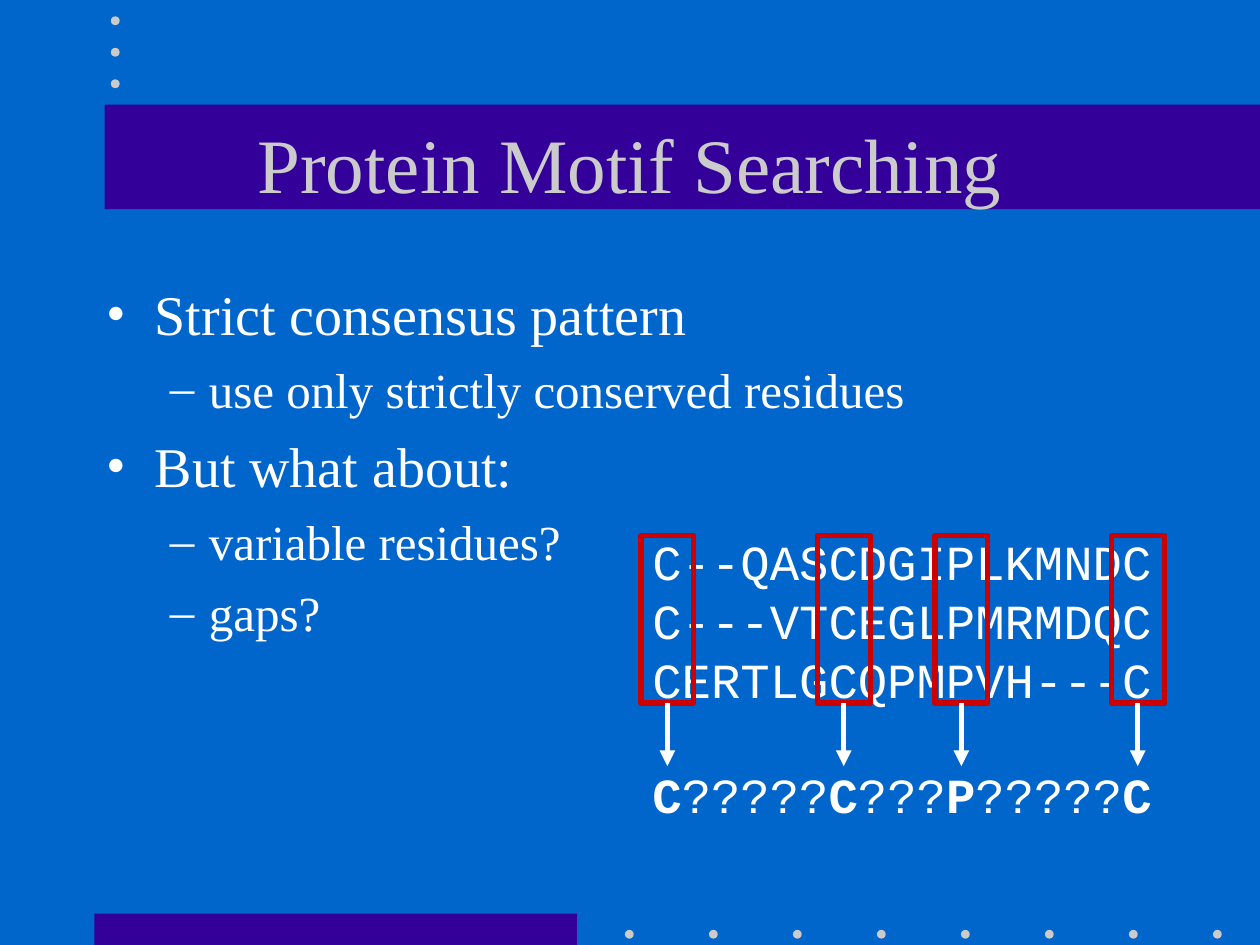
from lxml import etree
from pptx import Presentation, util as u
from pptx.dml.color import RGBColor
from pptx.enum import shapes, text
from pptx.oxml.ns import qn

BLUE = RGBColor(0x00, 0x66, 0xCC)
PURPLE = RGBColor(0x33, 0x00, 0x99)
GREY = RGBColor(0xCB, 0xCB, 0xCB)
WHITE = RGBColor(0xFF, 0xFF, 0xFF)
RED = RGBColor(0xCC, 0x00, 0x00)
SERIF, MONO = "Times New Roman", "Courier New"

TITLE = "Protein Motif Searching"
POINTS = [
    (0, "Strict consensus pattern"),
    (1, "use only strictly conserved residues"),
    (0, "But what about:"),
    (1, "variable residues?"),
    (1, "gaps?"),
]
LEVELS = [
    dict(mark="•", size=32, left=0.38, hang=0.38, gap=8),
    dict(mark="–", size=28, left=0.81, hang=0.31, gap=7),
]
SEQS = ["C--QASCDGIPLKMNDC", "C---VTCEGLPMRMDQC", "CERTLGCQPMPVH---C"]
MATCH = [col for col, chars in enumerate(zip(*SEQS)) if len(set(chars)) == 1]
MOTIF = [(char if col in MATCH else "?", col in MATCH)
         for col, char in enumerate(SEQS[0])]

LEFT, PAD = 5.08, 0.1
STEP = 28 * 0.6 / 72
BOX_W, BOX_TOP, BOX_H, ARROW = 0.42, 4.25, 1.33, 0.5
DOT = 0.07

deck = Presentation()
deck.slide_width, deck.slide_height = u.Inches(10), u.Inches(7.5)
slide = deck.slides.add_slide(deck.slide_layouts[5])
slide.background.fill.solid()
slide.background.fill.fore_color.rgb = BLUE


def place(shape, *at):
    shape.left, shape.top, shape.width, shape.height = map(u.Inches, at)


def draw(kind, *at, fill=None, line=None):
    shape = slide.shapes.add_shape(kind, *map(u.Inches, at))
    shape.shadow.inherit = False
    if fill is None:
        shape.fill.background()
    else:
        shape.fill.solid()
        shape.fill.fore_color.rgb = fill
    if line is None:
        shape.line.fill.background()
    else:
        shape.line.color.rgb = line
        shape.line.width = u.Pt(3)
    return shape


def write(para, words, size=28, font=MONO, color=WHITE, bold=False):
    run = para.add_run()
    run.text = words
    run.font.size, run.font.name, run.font.bold = u.Pt(size), font, bold
    run.font.color.rgb = color


def frame(*at, wrap=False):
    body = slide.shapes.add_textbox(*map(u.Inches, at)).text_frame
    body.word_wrap = wrap
    return body


def lines(body, count):
    return [body.paragraphs[0]] + [body.add_paragraph() for _ in range(count - 1)]


def bullet(para, mark, left, hang):
    props = para._p.get_or_add_pPr()
    props.set("marL", str(u.Inches(left)))
    props.set("indent", str(-u.Inches(hang)))
    etree.SubElement(props, qn("a:buFont")).set("typeface", SERIF)
    etree.SubElement(props, qn("a:buChar")).set("char", mark)


def arrow(box):
    mid, top = box.left + box.width // 2, box.top + box.height
    link = slide.shapes.add_connector(
        shapes.MSO_CONNECTOR.STRAIGHT, mid, top, mid, top + u.Inches(ARROW))
    link.begin_connect(box, 2)
    link.line.color.rgb = WHITE
    link.line.width = u.Pt(3)
    etree.SubElement(link.line._get_or_add_ln(), qn("a:tailEnd")).set("type", "triangle")
    etree.SubElement(link._element.spPr, qn("a:effectLst"))


RECT, OVAL = shapes.MSO_SHAPE.RECTANGLE, shapes.MSO_SHAPE.OVAL
draw(RECT, 0.75, 7.25, 3.83, 0.25, fill=PURPLE)
draw(RECT, 0.83, 0.83, 9.17, 0.83, fill=PURPLE)
DOTS = [(4.96 + i * 2 / 3, 7.38) for i in range(8)]
DOTS += [(0.88, 0.13 + i / 4) for i in range(3)]
for x, y in DOTS:
    draw(OVAL, x, y, DOT, DOT, fill=GREY)

title = slide.shapes.title
title.element.getparent().append(title.element)
place(title, 0.75, 0.67, 8.5, 1.25)
title.text_frame.vertical_anchor = text.MSO_ANCHOR.MIDDLE
head = title.text_frame.paragraphs[0]
head.alignment = text.PP_ALIGN.CENTER
write(head, TITLE, size=44, font=SERIF, color=GREY)

body = frame(0.75, 2.17, 8.5, 4.5, wrap=True)
for i, (para, (level, words)) in enumerate(zip(lines(body, len(POINTS)), POINTS)):
    look = LEVELS[level]
    para.level = level
    para.space_before = u.Pt(look["gap"] if i else 0)
    bullet(para, look["mark"], look["left"], look["hang"])
    write(para, words, size=look["size"], font=SERIF)

for para, seq in zip(lines(frame(LEFT, 4.17, 4.16, 1.5), len(SEQS)), SEQS):
    write(para, seq)

for col in MATCH:
    mid = LEFT + PAD + (col + 0.5) * STEP
    arrow(draw(RECT, mid - BOX_W / 2, BOX_TOP, BOX_W, BOX_H, line=RED))

motif = frame(LEFT, 6.02, 4.16, 0.57).paragraphs[0]
for char, bold in MOTIF:
    write(motif, char, bold=bold)

deck.save("out.pptx")
